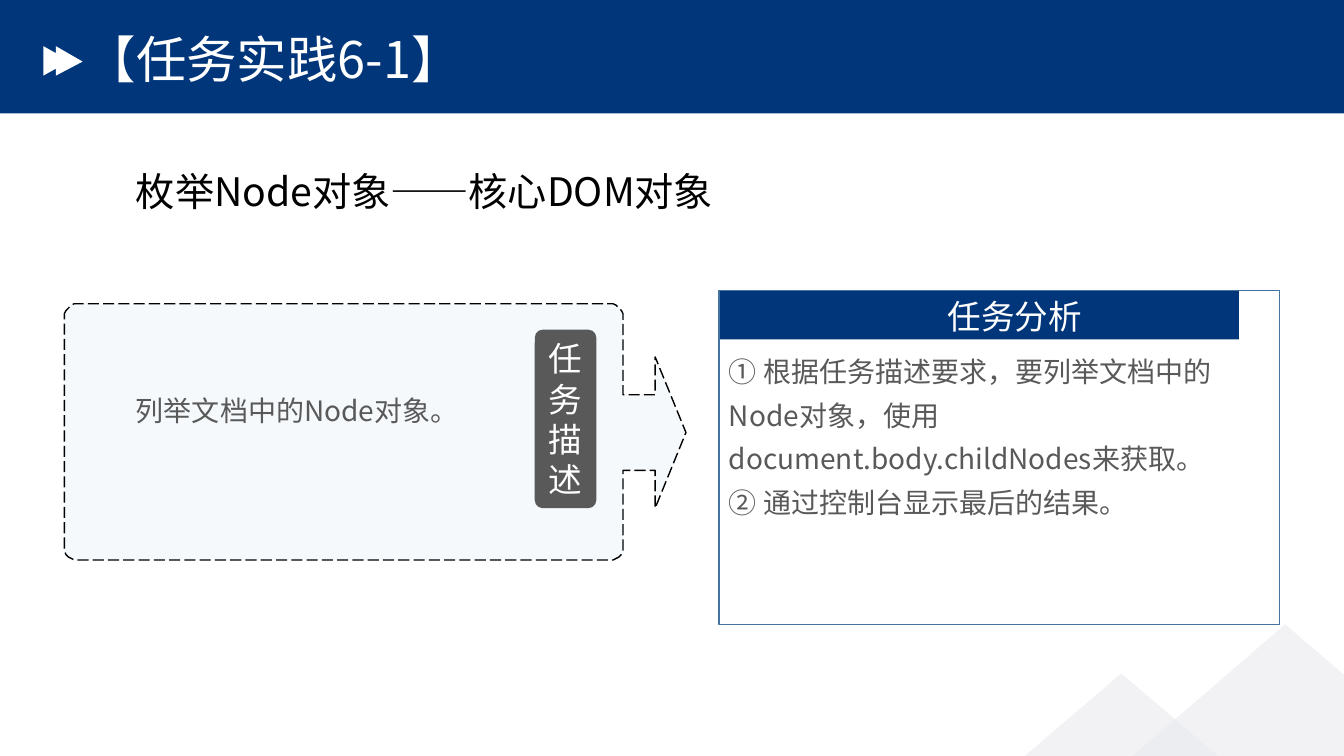
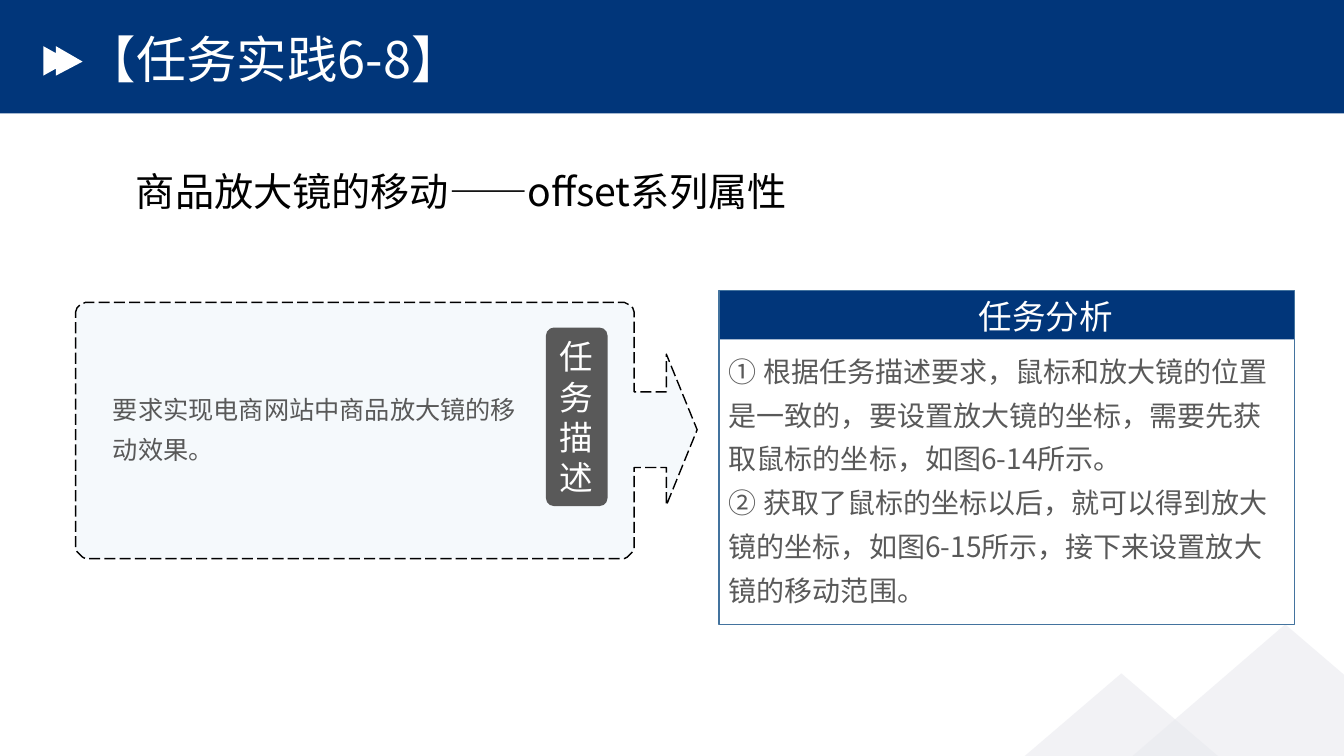
"""Build two task-practice slides with a description callout and an analysis panel."""
from math import cos, pi, sin

from lxml.etree import SubElement
from pptx import Presentation
from pptx.dml.color import RGBColor
from pptx.enum.dml import MSO_LINE
from pptx.enum.shapes import MSO_SHAPE
from pptx.enum.text import MSO_ANCHOR, PP_ALIGN
from pptx.oxml.ns import qn
from pptx.util import Pt

SLIDE_W, SLIDE_H = 960, 540
NAVY = RGBColor(0x01, 0x36, 0x7A)
WHITE = RGBColor(0xFF, 0xFF, 0xFF)
BLACK = RGBColor(0, 0, 0)
GREY = RGBColor(0x59, 0x59, 0x59)
MIST = RGBColor(0xE9, 0xEA, 0xEF)
PALE_BLUE = RGBColor(0xBD, 0xD7, 0xEE)
FRAME_BLUE = RGBColor(0x43, 0x73, 0x9E)
SANS = "Noto Sans CJK SC"
LATIN = "Calibri"

TASKS = [
    {
        "title": "【任务实践6-1】",
        "topic": "枚举Node对象——核心DOM对象",
        "description": "列举文档中的Node对象。",
        "description_at": (90, 270),
        "description_size": 20,
        "callout_at": (46, 217),
        "panel_widths": {"frame": 400.5, "band": 371.5, "heading": 423},
        "analysis": [
            "① 根据任务描述要求，要列举文档中的Node对象，使用document.body.childNodes来获取。",
            "② 通过控制台显示最后的结果。",
        ],
    },
    {
        "title": "【任务实践6-8】",
        "topic": "商品放大镜的移动——offset系列属性",
        "description": "要求实现电商网站中商品放大镜的移动效果。",
        "description_at": (73.5, 272),
        "description_size": 18,
        "callout_at": (54, 215.5),
        "panel_widths": {"frame": 411, "band": 411, "heading": 467},
        "analysis": [
            "① 根据任务描述要求，鼠标和放大镜的位置是一致的，要设置放大镜的坐标，需要先获取鼠标的坐标，如图6-14所示。",
            "② 获取了鼠标的坐标以后，就可以得到放大镜的坐标，如图6-15所示，接下来设置放大镜的移动范围。",
        ],
    },
]

FAST_FORWARD = [(31, 33), (40, 38), (40, 33), (59, 43.5), (40, 54), (40, 49), (31, 54)]
HILLS = [
    [(732, SLIDE_H), (801, 481), (870, SLIDE_H)],
    [(809, SLIDE_H), (918, 446.5), (SLIDE_W, 482.5), (SLIDE_W, SLIDE_H)],
]
CALLOUT_W, CALLOUT_H, CORNER = 399, 183.5, 9.5
NECK, NECK_HALF, HEAD, HEAD_HALF = 22.5, 27, 22, 54
PANEL_X, PANEL_Y, PANEL_H, BAND_H = 513.5, 207.5, 238.5, 35


def paint(shape, fill=None, alpha=None, line=None):
    shape.shadow.inherit = False
    if fill is None:
        shape.fill.background()
    else:
        shape.fill.solid()
        shape.fill.fore_color.rgb = fill
    if alpha is not None:
        color = shape.fill._xPr.find(qn("a:solidFill"))[0]
        SubElement(color, qn("a:alpha"), val=str(alpha * 1000))
    if line is None:
        shape.line.fill.background()
    else:
        shape.line.color.rgb = line
        shape.line.width = Pt(1)
    return shape


def add_block(slide, kind, x, y, w, h, **style):
    return paint(slide.shapes.add_shape(kind, Pt(x), Pt(y), Pt(w), Pt(h)), **style)


def add_outline(slide, points, **style):
    builder = slide.shapes.build_freeform(*points[0], scale=Pt(1))
    builder.add_line_segments(points[1:], close=True)
    return paint(builder.convert_to_shape(), **style)


def write(shape, texts, size, color, font=SANS, align=PP_ALIGN.LEFT, spacing=None, before=0):
    frame = shape.text_frame
    frame.word_wrap = True
    frame.text = "\n".join(texts)
    for paragraph in frame.paragraphs:
        paragraph.alignment = align
        paragraph.line_spacing = spacing
        paragraph.space_before = Pt(before)
        paragraph.font.size = Pt(size)
        paragraph.font.color.rgb = color
        paragraph.font.name = font
        for run in paragraph.runs:
            run.font.name = font
            SubElement(run.font._element, qn("a:ea"), typeface=font)


def add_text(slide, x, y, w, h, texts, size, color, **style):
    box = slide.shapes.add_textbox(Pt(x), Pt(y), Pt(w), Pt(h))
    write(box, texts, size, color, **style)


def callout_points(x, y):
    def arc(cx, cy, start):
        angles = [start + step * pi / 12 for step in range(7)]
        return [(cx + CORNER * cos(a), cy + CORNER * sin(a)) for a in angles]

    left, top = x + CORNER, y + CORNER
    right, bottom = x + CALLOUT_W - CORNER, y + CALLOUT_H - CORNER
    edge, middle = x + CALLOUT_W, y + CALLOUT_H / 2
    arrow = [
        (edge, middle - NECK_HALF),
        (edge + NECK, middle - NECK_HALF),
        (edge + NECK, middle - HEAD_HALF),
        (edge + NECK + HEAD, middle),
        (edge + NECK, middle + HEAD_HALF),
        (edge + NECK, middle + NECK_HALF),
        (edge, middle + NECK_HALF),
    ]
    return (arc(left, top, pi) + arc(right, top, 1.5 * pi) + arrow
            + arc(right, bottom, 0) + arc(left, bottom, pi / 2))


def move_backdrop_to_layout(slide):
    backdrop = [
        add_block(slide, MSO_SHAPE.RECTANGLE, 0, 0, SLIDE_W, 81, fill=NAVY),
        add_outline(slide, FAST_FORWARD, fill=WHITE),
    ]
    backdrop += [add_outline(slide, hill, fill=MIST, alpha=59) for hill in HILLS]
    for shape in backdrop:
        slide.slide_layout.shapes.element.append(shape.element)


def add_title(slide, text):
    title = slide.shapes.title
    title.left, title.top, title.width, title.height = Pt(54), Pt(24.5), Pt(474), Pt(40)
    title.text_frame.vertical_anchor = MSO_ANCHOR.MIDDLE
    write(title, [text], 36, WHITE, spacing=0.9)


def add_description(slide, task):
    x, y = task["callout_at"]
    callout = add_outline(slide, callout_points(x, y), fill=PALE_BLUE, alpha=15, line=BLACK)
    callout.line.dash_style = MSO_LINE.LONG_DASH
    add_text(slide, *task["description_at"], 317, 36, [task["description"]],
             task["description_size"], GREY, spacing=1.3)
    label = add_block(slide, MSO_SHAPE.ROUNDED_RECTANGLE, x + 336, y + 18.5, 44, 127.5, fill=GREY)
    label.adjustments[0] = 0.13
    label.text_frame.vertical_anchor = MSO_ANCHOR.MIDDLE
    write(label, ["任务描述"], 24, WHITE, font=LATIN, align=PP_ALIGN.CENTER)


def add_analysis(slide, task):
    widths = task["panel_widths"]
    add_block(slide, MSO_SHAPE.RECTANGLE, PANEL_X, PANEL_Y, widths["band"], BAND_H, fill=NAVY)
    add_text(slide, PANEL_X, PANEL_Y + 0.5, widths["heading"], BAND_H, ["任务分析"], 24, WHITE,
             align=PP_ALIGN.CENTER)
    add_text(slide, PANEL_X, PANEL_Y + BAND_H, widths["frame"], PANEL_H - BAND_H,
             task["analysis"], 20, GREY, spacing=1.3)
    add_block(slide, MSO_SHAPE.RECTANGLE, PANEL_X, PANEL_Y, widths["frame"], PANEL_H,
              line=FRAME_BLUE)


def main():
    deck = Presentation()
    deck.slide_width, deck.slide_height = Pt(SLIDE_W), Pt(SLIDE_H)
    title_only = deck.slide_layouts[5]
    for number, task in enumerate(TASKS):
        slide = deck.slides.add_slide(title_only)
        if number == 0:
            move_backdrop_to_layout(slide)
        add_title(slide, task["title"])
        add_text(slide, 90, 106, 533, 50, [task["topic"]], 28, BLACK, spacing=1.3, before=10)
        add_description(slide, task)
        add_analysis(slide, task)
    deck.save("out.pptx")


if __name__ == "__main__":
    main()
